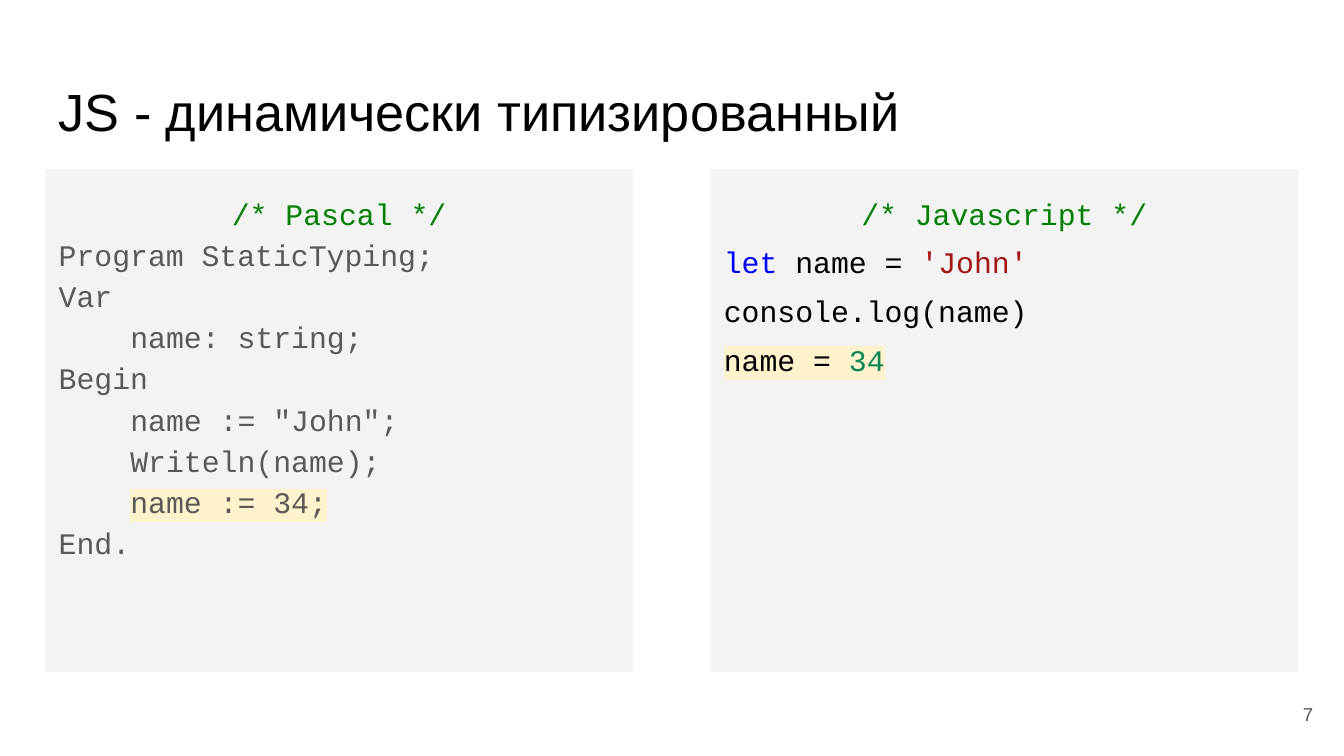
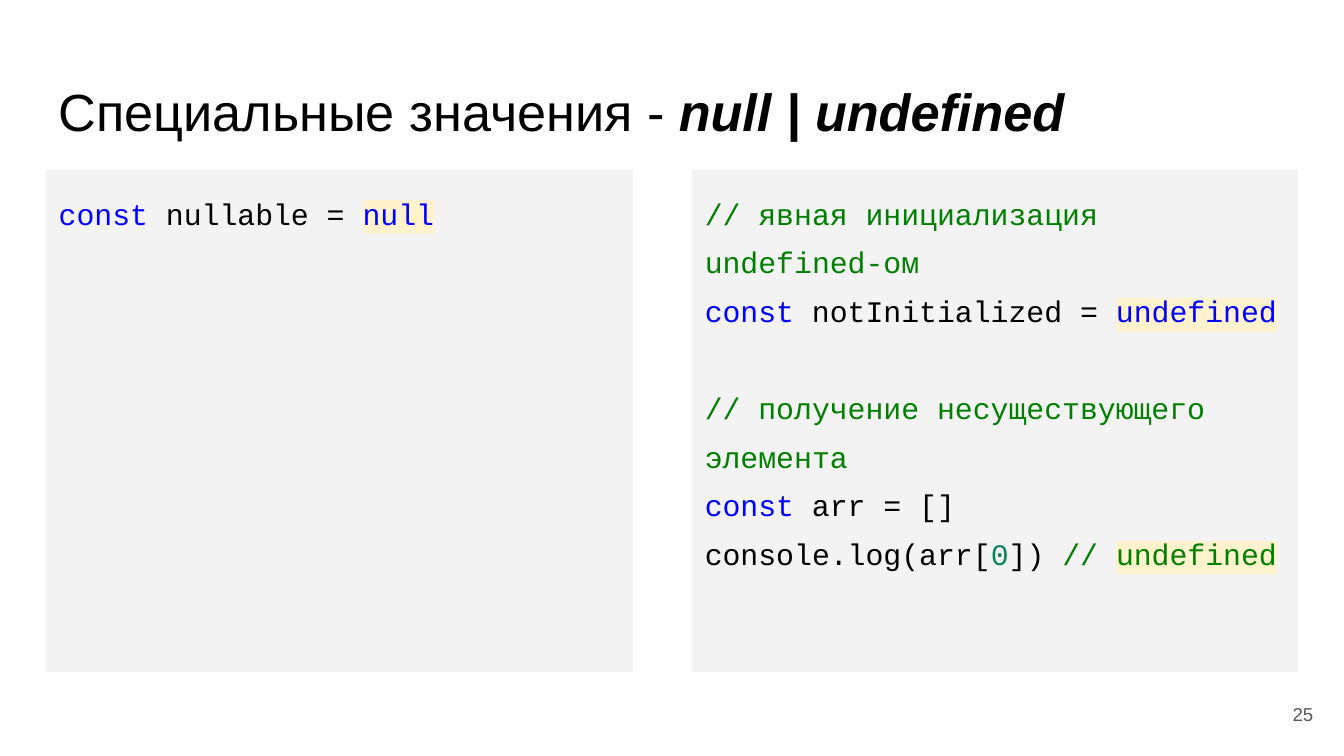
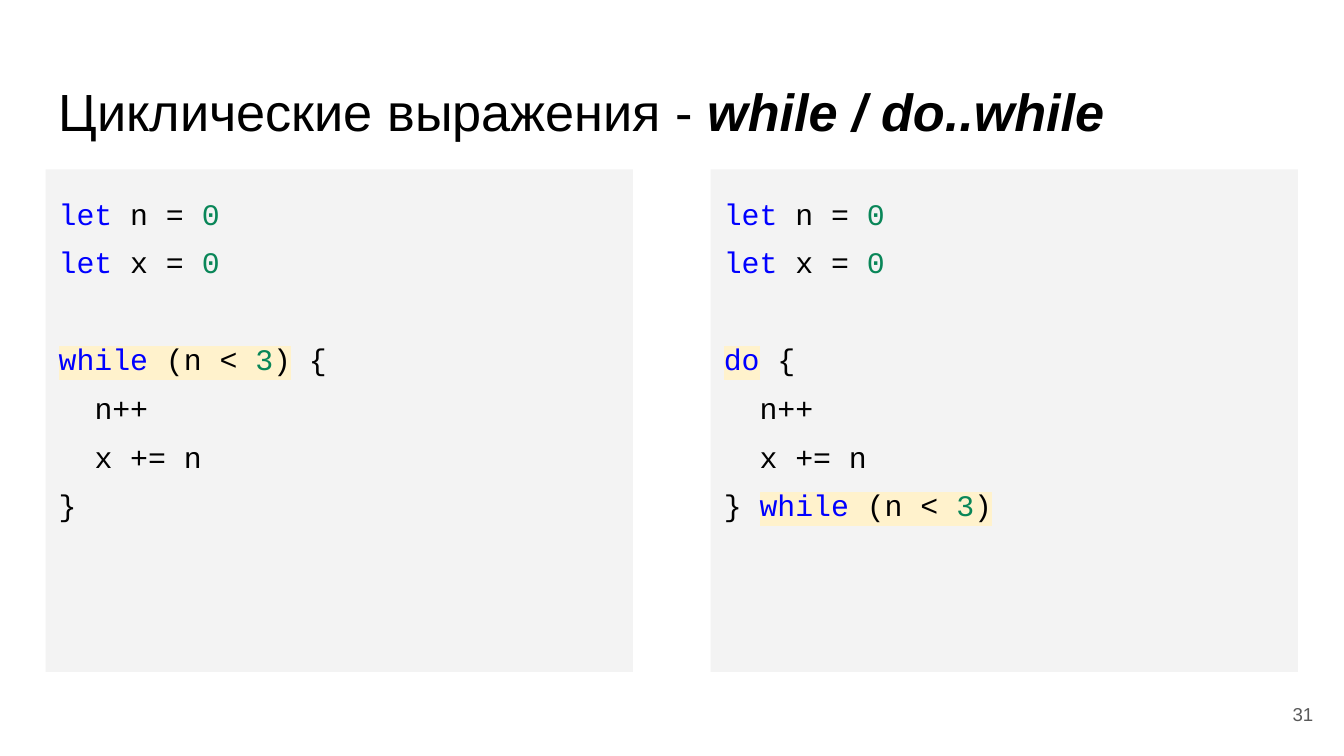
from collections import namedtuple

from lxml.etree import SubElement
from pptx import Presentation
from pptx.dml.color import RGBColor
from pptx.enum.text import MSO_ANCHOR as Anchor, MSO_AUTO_SIZE as AutoSize, PP_ALIGN as Align
from pptx.oxml.ns import qn
from pptx.util import Cm, Pt

COLORS = {
    "background": "FFFFFF",
    "panel": "F3F3F3",
    "highlight": "FFF2CC",
    "plain": "000000",
    "muted": "595959",
    "comment": "008000",
    "keyword": "0000FF",
    "string": "A31515",
    "number": "098658",
}
TITLE_FONT, CODE_FONT = "Arial", "Courier New"
CODE_SIZE = 16
CHAR_WIDTH = 0.6 * CODE_SIZE
BLANK_LINE = 25.8

Box = namedtuple("Box", "left top width height")
Span = namedtuple("Span", "text role marked", defaults=("plain", False))
Line = namedtuple("Line", "spans indent gap align spacing",
                  defaults=(0, False, Align.LEFT, 1.36))

MARGIN, RIGHT_EDGE = 0.86, 24.53
PANEL_TOP, PANEL_WIDTH, PANEL_HEIGHT = 3.2, 11.1, 9.5
TITLE_BOX = Box(MARGIN, 1.24, RIGHT_EDGE - MARGIN, 1.6)
NUMBER_BOX = Box(23.55, 12.95, 1.52, 1.09)


def rgb(name):
    return RGBColor.from_string(COLORS[name])


def place(part, box):
    part.left, part.top, part.width, part.height = (Cm(length) for length in box)


def prepare_frame(frame, anchor=Anchor.TOP):
    frame.word_wrap = True
    frame.auto_size = AutoSize.NONE
    frame.vertical_anchor = anchor
    frame.margin_left = frame.margin_right = Cm(0.25)
    frame.margin_top = frame.margin_bottom = Cm(0.25)


def add_text(paragraph, text, font=TITLE_FONT, size=CODE_SIZE, color="plain",
             emphasis=False, marked=False):
    run = paragraph.add_run()
    run.text = text
    run.font.size = Pt(size)
    run.font.bold = run.font.italic = emphasis
    run.font.color.rgb = rgb(color)
    run.font.name = font
    if marked:
        properties = run.font._element
        highlight = SubElement(properties, qn("a:highlight"))
        SubElement(highlight, qn("a:srgbClr")).set("val", COLORS["highlight"])
        properties.find(qn("a:latin")).addprevious(highlight)


def write_title(title, topic, emphasized):
    place(title, TITLE_BOX)
    prepare_frame(title.text_frame)
    heading = title.text_frame.paragraphs[0]
    heading.alignment = Align.LEFT
    add_text(heading, topic, size=28)
    if emphasized:
        add_text(heading, emphasized, size=28, emphasis=True)


def write_line(paragraph, line):
    """Set one code line without a bullet, indented by whole characters."""
    paragraph.alignment = line.align
    paragraph.line_spacing = line.spacing
    paragraph.space_before = Pt(BLANK_LINE if line.gap else 0)
    paragraph.space_after = Pt(0)
    properties = paragraph._p.get_or_add_pPr()
    properties.set("marL", str(Pt(line.indent * CHAR_WIDTH)))
    properties.set("indent", "0")
    SubElement(properties, qn("a:buNone"))
    for span in line.spans:
        add_text(paragraph, span.text, font=CODE_FONT, color=span.role, marked=span.marked)


def write_code(panel, box, lines):
    place(panel, box)
    panel.fill.solid()
    panel.fill.fore_color.rgb = rgb("panel")
    frame = panel.text_frame
    prepare_frame(frame)
    for index, line in enumerate(lines):
        write_line(frame.add_paragraph() if index else frame.paragraphs[0], line)


def write_number(slide, number):
    footer = slide.shapes.add_textbox(*(Cm(length) for length in NUMBER_BOX))
    prepare_frame(footer.text_frame, Anchor.MIDDLE)
    paragraph = footer.text_frame.paragraphs[0]
    paragraph.alignment = Align.RIGHT
    add_text(paragraph, str(number), size=10, color="muted")


def add_comparison(deck, number, topic, left_code, right_code, emphasized="",
                   right_width=PANEL_WIDTH):
    """Add a slide with a title and two code panels side by side."""
    slide = deck.slides.add_slide(deck.slide_layouts[3])
    slide.background.fill.solid()
    slide.background.fill.fore_color.rgb = rgb("background")
    title, left_panel, right_panel = slide.placeholders
    write_title(title, topic, emphasized)
    write_code(left_panel, Box(MARGIN, PANEL_TOP, PANEL_WIDTH, PANEL_HEIGHT), left_code)
    write_code(right_panel,
               Box(RIGHT_EDGE - right_width, PANEL_TOP, right_width, PANEL_HEIGHT),
               right_code)
    write_number(slide, number)


def code(*spans, **layout):
    """Make a line; a bare string is a plain span."""
    return Line([Span(span) if isinstance(span, str) else span for span in spans], **layout)


def comment(text, **layout):
    return code(Span(text, "comment"), **layout)


def keyword(text, marked=False):
    return Span(text, "keyword", marked)


def pascal(text, indent=0, marked=False):
    return code(Span(text, "muted", marked), indent=indent, spacing=1.15)


def declare_zero(name):
    return code(keyword("let"), f" {name} = ", Span("0", "number"))


PASCAL_CODE = [
    comment("/* Pascal */", align=Align.CENTER),
    pascal("Program StaticTyping;"),
    pascal("Var"),
    pascal("name: string;", indent=4),
    pascal("Begin"),
    pascal('name := "John";', indent=4),
    pascal("Writeln(name);", indent=4),
    pascal("name := 34;", indent=4, marked=True),
    pascal("End."),
]
JAVASCRIPT_CODE = [
    comment("/* Javascript */", align=Align.CENTER),
    code(keyword("let"), " name = ", Span("'John'", "string")),
    code("console.log(name)"),
    code(Span("name = ", marked=True), Span("34", "number", True)),
]
NULL_CODE = [code(keyword("const"), " nullable = ", keyword("null", True))]
UNDEFINED_CODE = [
    comment("// явная инициализация undefined-ом"),
    code(keyword("const"), " notInitialized = ", keyword("undefined", True)),
    comment("// получение несуществующего элемента", gap=True),
    code(keyword("const"), " arr = []"),
    code("console.log(arr[", Span("0", "number"), "]) ", Span("// ", "comment"),
         Span("undefined", "comment", True)),
]
COUNTERS = [declare_zero("n"), declare_zero("x")]
LOOP_BODY = [code("n++", indent=2), code("x += n", indent=2)]
WHILE_CONDITION = [
    keyword("while", True),
    Span(" (n < ", marked=True),
    Span("3", "number", True),
    Span(")", marked=True),
]
WHILE_CODE = [*COUNTERS, code(*WHILE_CONDITION, " {", gap=True), *LOOP_BODY, code("}")]
DO_WHILE_CODE = [*COUNTERS, code(keyword("do", True), " {", gap=True), *LOOP_BODY,
                 code("} ", *WHILE_CONDITION)]


def main():
    deck = Presentation()
    deck.slide_width, deck.slide_height = Cm(25.4), Cm(14.29)
    add_comparison(deck, 7, "JS - динамически типизированный", PASCAL_CODE, JAVASCRIPT_CODE)
    add_comparison(deck, 25, "Специальные значения - ", NULL_CODE, UNDEFINED_CODE,
                   emphasized="null | undefined", right_width=11.46)
    add_comparison(deck, 31, "Циклические выражения - ", WHILE_CODE, DO_WHILE_CODE,
                   emphasized="while / do..while")
    deck.save("out.pptx")


if __name__ == "__main__":
    main()
